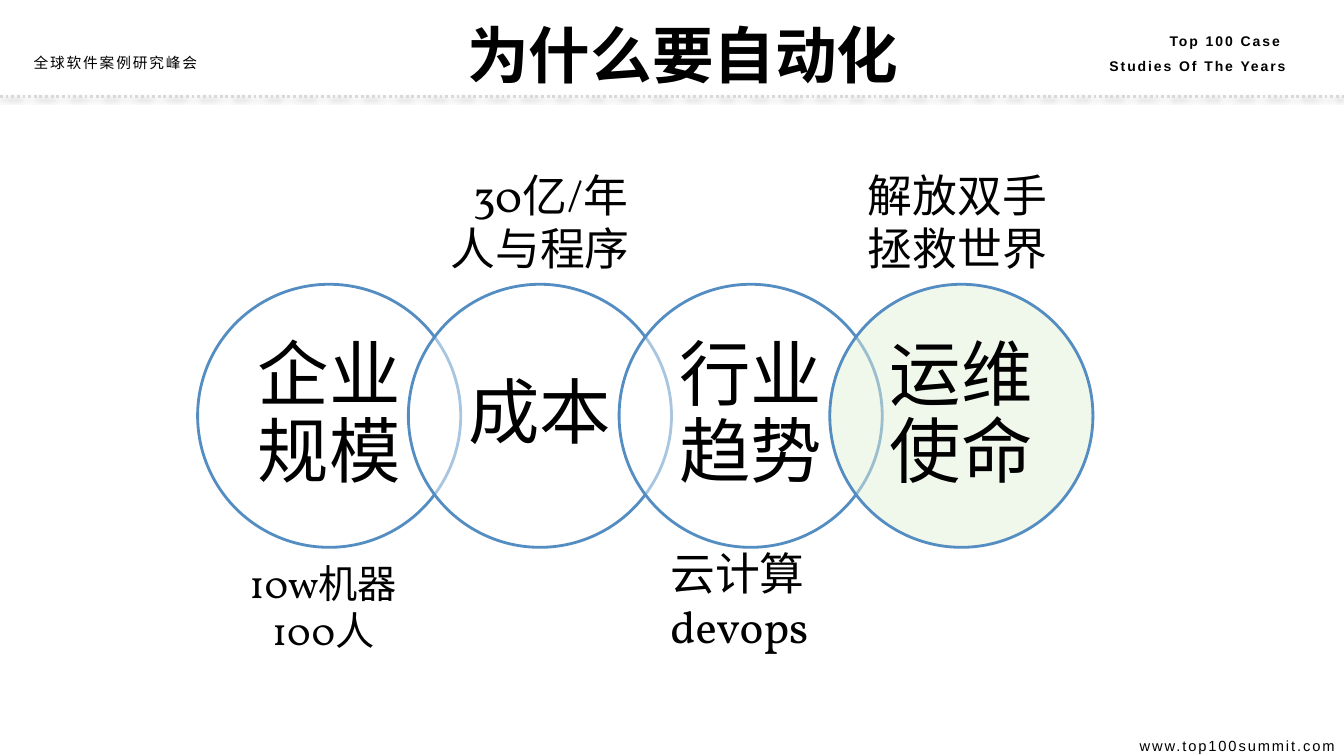
from lxml import etree
from pptx import Presentation
from pptx.dml.color import RGBColor
from pptx.enum import dml, shapes, text
from pptx.oxml import ns
from pptx.util import Inches, Pt

BLACK = RGBColor(0x00, 0x00, 0x00)
WHITE = RGBColor(0xFF, 0xFF, 0xFF)
PALE_GREEN = RGBColor(0xE2, 0xF0, 0xD9)
BLUE = RGBColor(0x53, 0x8D, 0xC1)
GREY = RGBColor(0xD9, 0xD9, 0xD9)
LEFT, CENTER, RIGHT = text.PP_ALIGN.LEFT, text.PP_ALIGN.CENTER, text.PP_ALIGN.RIGHT

TITLE = "为什么要自动化"
TITLE_BOX = (2.99, 0.12, 7.57, 0.84)
RULE_Y = 0.96

# box (left, top, width, height), lines, format
HEADER_FOOTER = [
    ((0, 0.5, 2.29, 0.26), ["全球软件案例研究峰会"],
     dict(size=10.5, align=CENTER, line_spacing=Pt(11.2), tracking=1.4)),
    ((10.32, 0.19, 2.53, 0.57), ["Top 100 Case ", "Studies Of The Years"],
     dict(size=10, align=RIGHT, line_spacing=1.5, tracking=1.4, font="Arial", bold=True)),
    ((10.37, 7.17, 2.97, 0.33), ["www.top100summit.com"],
     dict(size=10.5, align=RIGHT, line_spacing=1.5, tracking=1.4, font="Arial")),
]
REASONS = [("企业规模", WHITE), ("成本", WHITE), ("行业趋势", WHITE), ("运维使命", PALE_GREEN)]
CIRCLE_LEFT, CIRCLE_TOP, CIRCLE_SIZE, CIRCLE_STEP = 1.96, 2.82, 2.61, 2.09
NOTES = [
    ((2.15, 5.5, 2.11, 1.04), ["10w机器", "100人"], dict(size=28, align=CENTER)),
    ((4.37, 1.61, 2.18, 1.18), ["30亿/年", "人与程序"], dict(size=32, align=[CENTER, LEFT])),
    ((6.55, 5.36, 2.18, 1.18), ["云计算", "devops"], dict(size=32)),
    ((8.51, 1.61, 2.18, 1.18), ["解放双手", "拯救世界"], dict(size=32)),
]


def write(shape, lines, size, align=LEFT, font="Vollkorn", bold=False,
          line_spacing=None, tracking=0, anchor=text.MSO_ANCHOR.TOP):
    """Fill a shape with one paragraph per line; align may be a list, one per line."""
    frame = shape.text_frame
    frame.word_wrap = True
    frame.vertical_anchor = anchor
    aligns = align if isinstance(align, list) else [align] * len(lines)
    for index, (line, alignment) in enumerate(zip(lines, aligns)):
        paragraph = frame.add_paragraph() if index else frame.paragraphs[0]
        paragraph.alignment = alignment
        paragraph.space_before = Pt(0)
        if line_spacing:
            paragraph.line_spacing = line_spacing
        run = paragraph.add_run()
        run.text = line
        run.font.size = Pt(size)
        run.font.bold = bold
        run.font.color.rgb = BLACK
        run.font.name = font
        properties = run.font._element
        etree.SubElement(properties, ns.qn("a:ea"), typeface=font)
        if tracking:
            properties.set("spc", str(round(tracking * 100)))


def add_text(slide, box, lines, **style):
    shape = slide.shapes.add_textbox(*map(Inches, box))
    write(shape, lines, **style)
    shape.text_frame.auto_size = text.MSO_AUTO_SIZE.SHAPE_TO_FIT_TEXT


def set_alpha(color, percent):
    etree.SubElement(color, ns.qn("a:alpha"), val=str(percent * 1000))


def add_rule(slide):
    rule = slide.shapes.add_connector(shapes.MSO_CONNECTOR.STRAIGHT, 0, Inches(RULE_Y),
                                      Inches(13.33), Inches(RULE_Y))
    rule.line.color.rgb = GREY
    rule.line.width = Pt(2)
    rule.line.dash_style = dml.MSO_LINE.ROUND_DOT
    effects = etree.SubElement(rule._element.spPr, ns.qn("a:effectLst"))
    shadow = etree.SubElement(effects, ns.qn("a:outerShdw"), blurRad=str(Pt(3.1)),
                              dist=str(Pt(1.6)), dir="5400000", rotWithShape="0")
    set_alpha(etree.SubElement(shadow, ns.qn("a:srgbClr"), val=str(BLACK)), 38)


def add_circle(slide, index, label, color):
    left = CIRCLE_LEFT + index * CIRCLE_STEP
    circle = slide.shapes.add_shape(shapes.MSO_SHAPE.OVAL, Inches(left), Inches(CIRCLE_TOP),
                                    Inches(CIRCLE_SIZE), Inches(CIRCLE_SIZE))
    circle.shadow.inherit = False
    circle.fill.solid()
    circle.fill.fore_color.rgb = color
    set_alpha(circle._element.spPr.find(".//" + ns.qn("a:srgbClr")), 50)
    circle.line.color.rgb = BLUE
    circle.line.width = Pt(2)
    frame = circle.text_frame
    frame.margin_left = frame.margin_right = Inches(0.14)
    frame.margin_top = frame.margin_bottom = Inches(0.07)
    write(circle, [label], size=51, align=CENTER, line_spacing=0.9,
          anchor=text.MSO_ANCHOR.MIDDLE)


def main():
    presentation = Presentation()
    presentation.slide_width, presentation.slide_height = Inches(13.33), Inches(7.5)
    slide = presentation.slides.add_slide(presentation.slide_layouts[5])
    title = slide.shapes.title
    title.left, title.top, title.width, title.height = map(Inches, TITLE_BOX)
    write(title, [TITLE], size=44, align=CENTER, bold=True)
    add_rule(slide)
    for index, (label, color) in enumerate(REASONS):
        add_circle(slide, index, label, color)
    for box, lines, style in HEADER_FOOTER + NOTES:
        add_text(slide, box, lines, **style)
    presentation.save("out.pptx")


if __name__ == "__main__":
    main()
